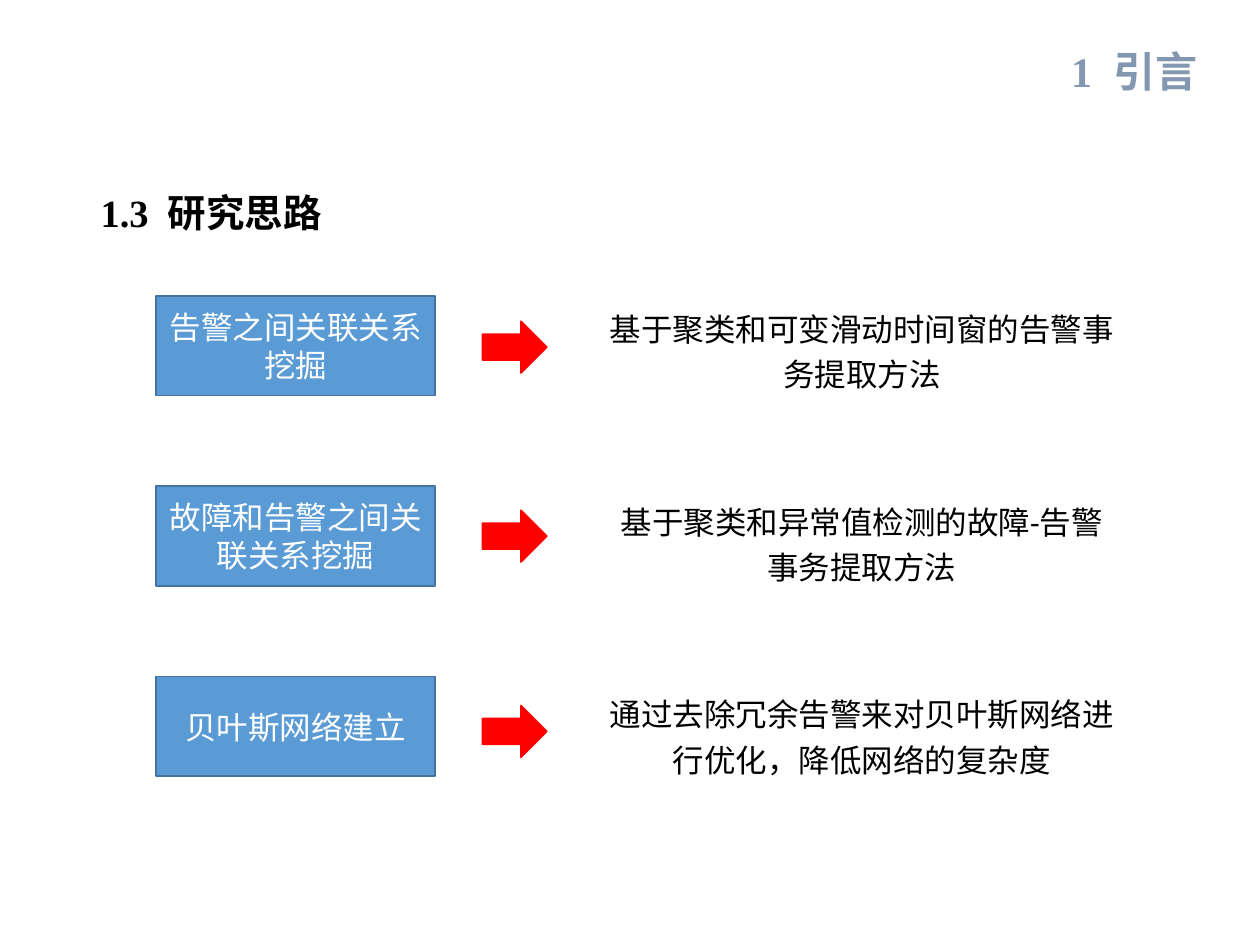
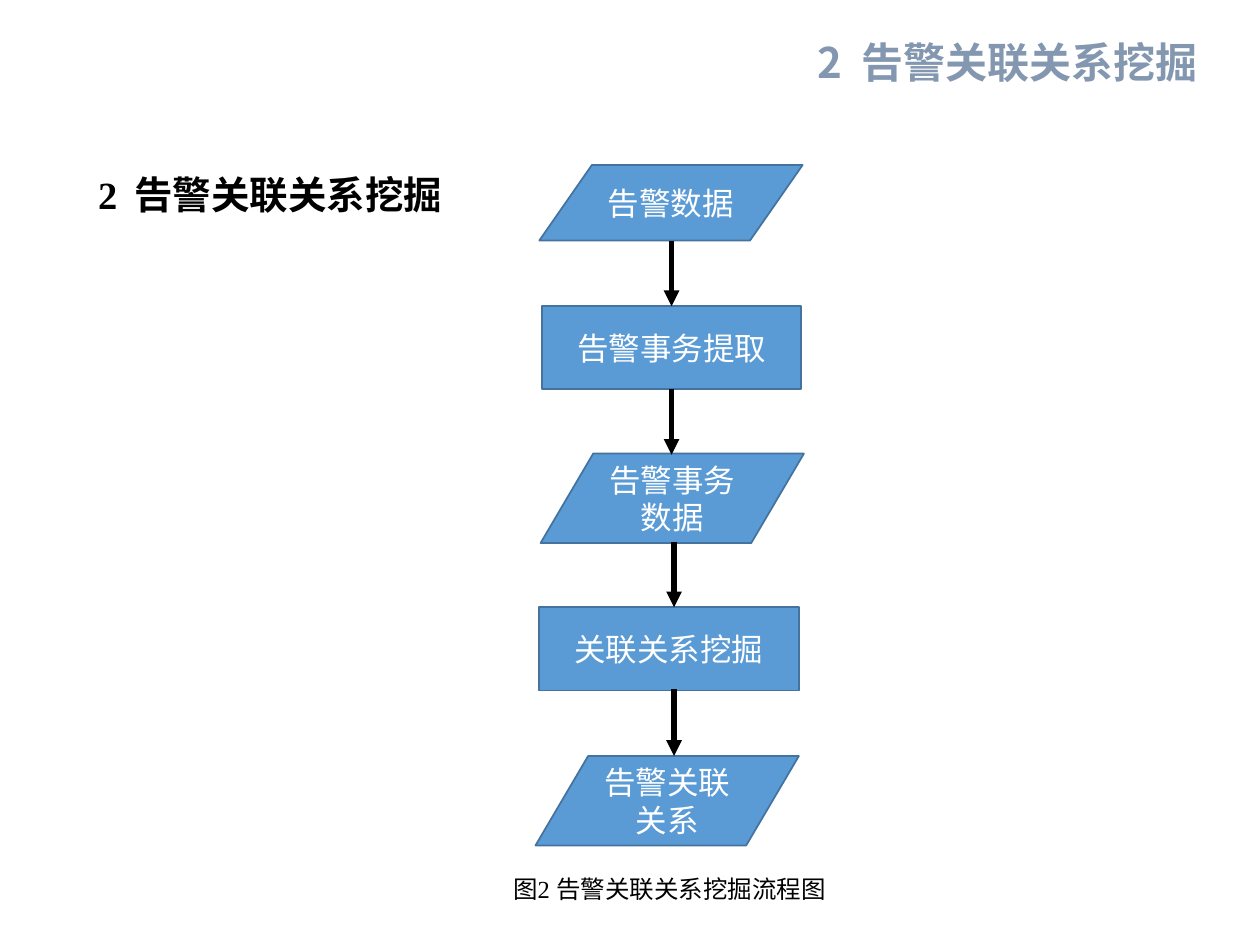
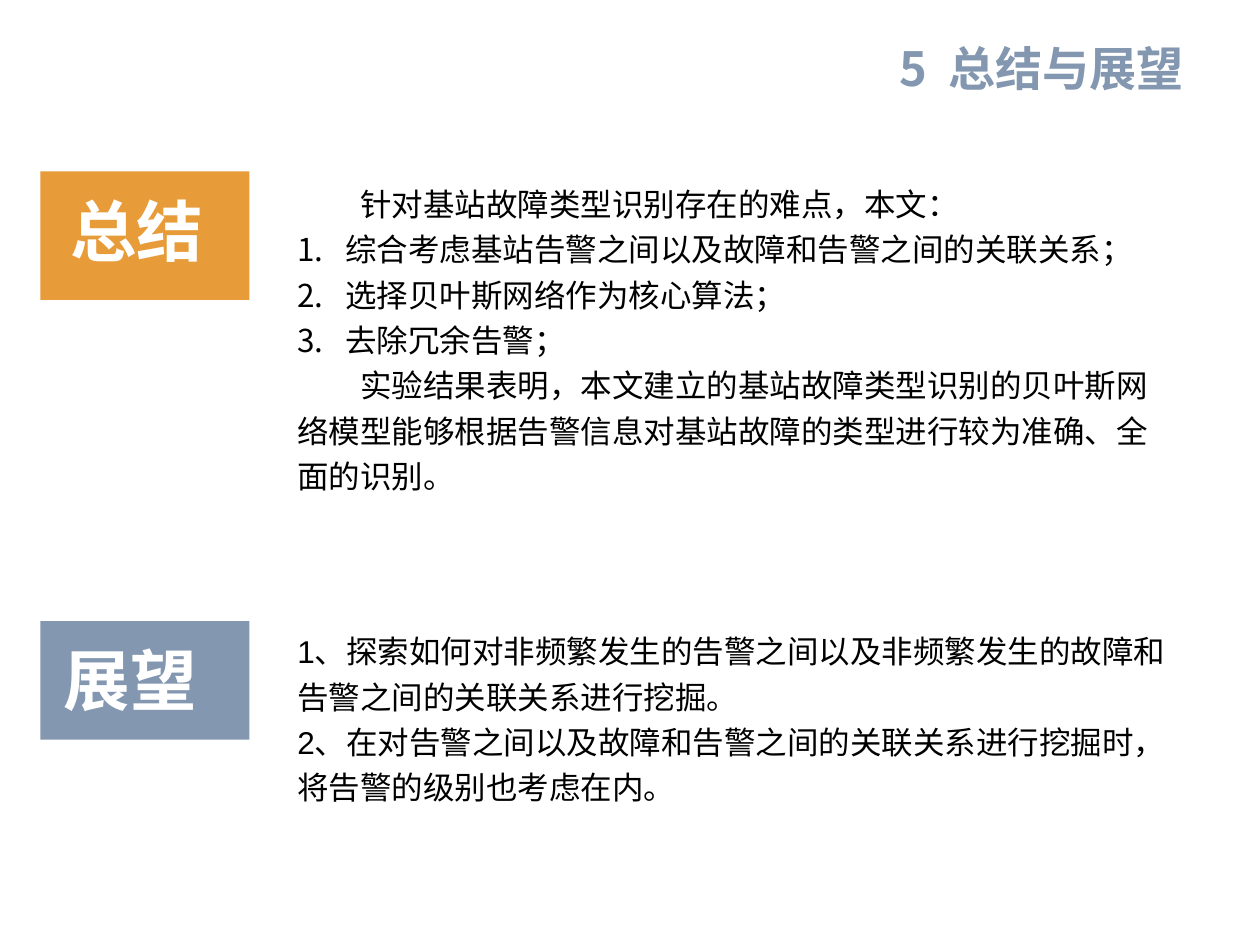
"""Builds three slides on mining alarm relations: research approach, flow chart, summary and outlook."""
from lxml.etree import SubElement
from pptx import Presentation
from pptx.dml.color import RGBColor
from pptx.enum.shapes import MSO_CONNECTOR, MSO_SHAPE
from pptx.enum.text import MSO_ANCHOR, MSO_AUTO_SIZE, PP_ALIGN
from pptx.oxml.ns import qn
from pptx.util import Pt

PX = 9144
SLATE, BLUE, NAVY, ORANGE = "8497B0", "5B9BD5", "43739E", "E79C39"
RED, BLACK, WHITE = "FF0000", "000000", "FFFFFF"
CJK, LATIN, SERIF, SANS = "Noto Sans CJK SC", "Calibri", "Times New Roman", "Arial"

GROW = {"word_wrap": True, "auto_size": MSO_AUTO_SIZE.SHAPE_TO_FIT_TEXT}
MIDDLE = {"word_wrap": True, "vertical_anchor": MSO_ANCHOR.MIDDLE}
WIDE = GROW | {"margin_left": 11 * PX, "margin_right": 11 * PX}
LEFT = {"alignment": PP_ALIGN.LEFT}
CENTER = {"alignment": PP_ALIGN.CENTER}
RIGHT = {"alignment": PP_ALIGN.RIGHT}
LOOSE = {"line_spacing": 1.2}


def paint(fill, colour):
    fill.solid()
    fill.fore_color.rgb = RGBColor.from_string(colour)


def place(slide, bounds, paragraphs=(), size=18, colour=BLACK, bold=False, layout=LEFT,
          frame=GROW, preset=None, fill=None, edge=None):
    area = [value * PX for value in bounds]
    if preset is None:
        holder = slide.shapes.add_textbox(*area)
    else:
        holder = slide.shapes.add_shape(preset, *area)
        holder.shadow.inherit = False
        paint(holder.fill, fill)
        if edge:
            paint(holder.line.fill, edge)
            holder.line.width = Pt(1)
        else:
            holder.line.fill.background()
    for key, value in frame.items():
        setattr(holder.text_frame, key, value)
    for index, runs in enumerate(paragraphs):
        words = holder.text_frame.paragraphs[0] if index == 0 else holder.text_frame.add_paragraph()
        for key, value in layout.items():
            setattr(words, key, value)
        for text, name in runs:
            run = words.add_run()
            run.text = text
            for key, value in {"name": name, "size": Pt(size), "bold": bold}.items():
                setattr(run.font, key, value)
            paint(run.font.fill, colour)
            SubElement(run.font._element, qn("a:ea"), typeface=CJK)
    return holder


deck = Presentation()
deck.slide_width, deck.slide_height = 1000 * PX, 750 * PX
headers = [
    ((587, 31, 373, 50), "1  引言", SERIF, 24),
    ((606, 24, 354, 50), "2  告警关联关系挖掘", CJK, 24),
    ((651, 26, 298, 55), "5  总结与展望", CJK, 26.9),
]
for bounds, title, name, size in headers:
    page = deck.slides.add_slide(deck.slide_layouts[6])
    place(page, bounds, [[(title, name)]], size, SLATE, True, RIGHT)
approach, flow, closing = deck.slides

place(approach, (70, 138, 320, 55), [[("1.3  研究思路", SERIF)]], 22, bold=True, layout=LOOSE)
ideas = [
    ("告警之间关联关系挖掘", "基于聚类和可变滑动时间窗的告警事务提取方法", 255),
    ("故障和告警之间关联关系挖掘", "基于聚类和异常值检测的故障-告警事务提取方法", 405),
    ("贝叶斯网络建立", "通过去除冗余告警来对贝叶斯网络进行优化，降低网络的复杂度", 560),
]
for row, (task, method, arrow_top) in enumerate(ideas):
    place(approach, (124, 235 + 151 * row, 221, 79), [[(task, LATIN)]], colour=WHITE,
          layout=CENTER, frame=MIDDLE, preset=MSO_SHAPE.RECTANGLE, fill=BLUE, edge=NAVY)
    place(approach, (471, 235 + 153 * row, 426, 80), [[(method, LATIN)]], layout=CENTER | LOOSE)
    place(approach, (383, arrow_top, 51, 41), preset=MSO_SHAPE.RIGHT_ARROW, fill=RED, edge=RED)

place(flow, (68, 131, 320, 47), [[("2", SERIF), ("  告警关联关系挖掘", LATIN)]], 22, bold=True)
DATA, PROCESS = MSO_SHAPE.FLOWCHART_DATA, MSO_SHAPE.FLOWCHART_PROCESS
stages = [
    ("告警数据", DATA, (428, 131, 209, 60)),
    ("告警事务提取", PROCESS, (430, 243, 206, 66)),
    ("告警事务数据", DATA, (429, 360, 209, 71)),
    ("关联关系挖掘", PROCESS, (428, 482, 206, 66)),
    ("告警关联关系", DATA, (425, 600, 209, 71)),
]
steps = [place(flow, bounds, [[(stage, LATIN)]], colour=WHITE, layout=CENTER, frame=MIDDLE,
               preset=preset, fill=BLUE, edge=NAVY) for stage, preset, bounds in stages]
links = []
for x, top, bottom in [(533, 191, 243), (533, 309, 361), (535, 430, 482), (535, 547, 600)]:
    link = flow.shapes.add_connector(MSO_CONNECTOR.STRAIGHT, x * PX, top * PX, x * PX, bottom * PX)
    paint(link.line.fill, BLACK)
    link.line.width = Pt(3)
    SubElement(link.line._get_or_add_ln(), qn("a:tailEnd"), type="triangle")
    SubElement(link._element.spPr, qn("a:effectLst"))
    links.append(link)
links[0].end_connect(steps[1], 0)
links[1].begin_connect(steps[1], 2)
place(flow, (341, 689, 381, 34), [[("图", LATIN), ("2 告警关联关系挖掘流程图", SERIF)]], 14, layout=CENTER)

badges = [
    ("总结", ORANGE, (32, 136, 166, 102), (42, 146, 133, 74), True),
    ("展望", SLATE, (32, 493, 166, 94), (40, 502, 127, 74), False),
]
for label, colour, backing, front, wraps in badges:
    place(closing, backing, preset=MSO_SHAPE.RECTANGLE, fill=colour)
    place(closing, front, [[(label, CJK)]], 38, WHITE, True, CENTER,
          GROW | {"word_wrap": wraps, "vertical_anchor": MSO_ANCHOR.TOP},
          MSO_SHAPE.RECTANGLE, colour)

outlook = [
    "1、探索如何对非频繁发生的告警之间以及非频繁发生的故障和告警之间的关联关系进行挖掘。",
    "2、在对告警之间以及故障和告警之间的关联关系进行挖掘时，将告警的级别也考虑在内。",
]
place(closing, (225, 491, 723, 156), [[(text, SANS)] for text in outlook], layout=LOOSE, frame=WIDE)

summary = [
    ("针对基站故障类型识别存在的难点，本文：", False),
    ("综合考虑基站告警之间以及故障和告警之间的关联关系；", True),
    ("选择贝叶斯网络作为核心算法；", True),
    ("去除冗余告警；", True),
    ("实验结果表明，本文建立的基站故障类型识别的贝叶斯网络模型能够根据告警信息对基站故障的类型进行较为准确、全面的识别。", False),
]
findings = place(closing, (225, 136, 706, 265), [[(text, SANS)] for text, _ in summary],
                 layout=LOOSE, frame=WIDE)
for words, (_, numbered) in zip(findings.text_frame.paragraphs, summary):
    properties = words._p.get_or_add_pPr()
    margin, indent = (38, -38) if numbered else (0, 50)
    properties.set("marL", str(margin * PX))
    properties.set("indent", str(indent * PX))
    if numbered:
        SubElement(properties, qn("a:buFont"), typeface=CJK)
        SubElement(properties, qn("a:buAutoNum"), type="arabicPeriod")

deck.save("out.pptx")
